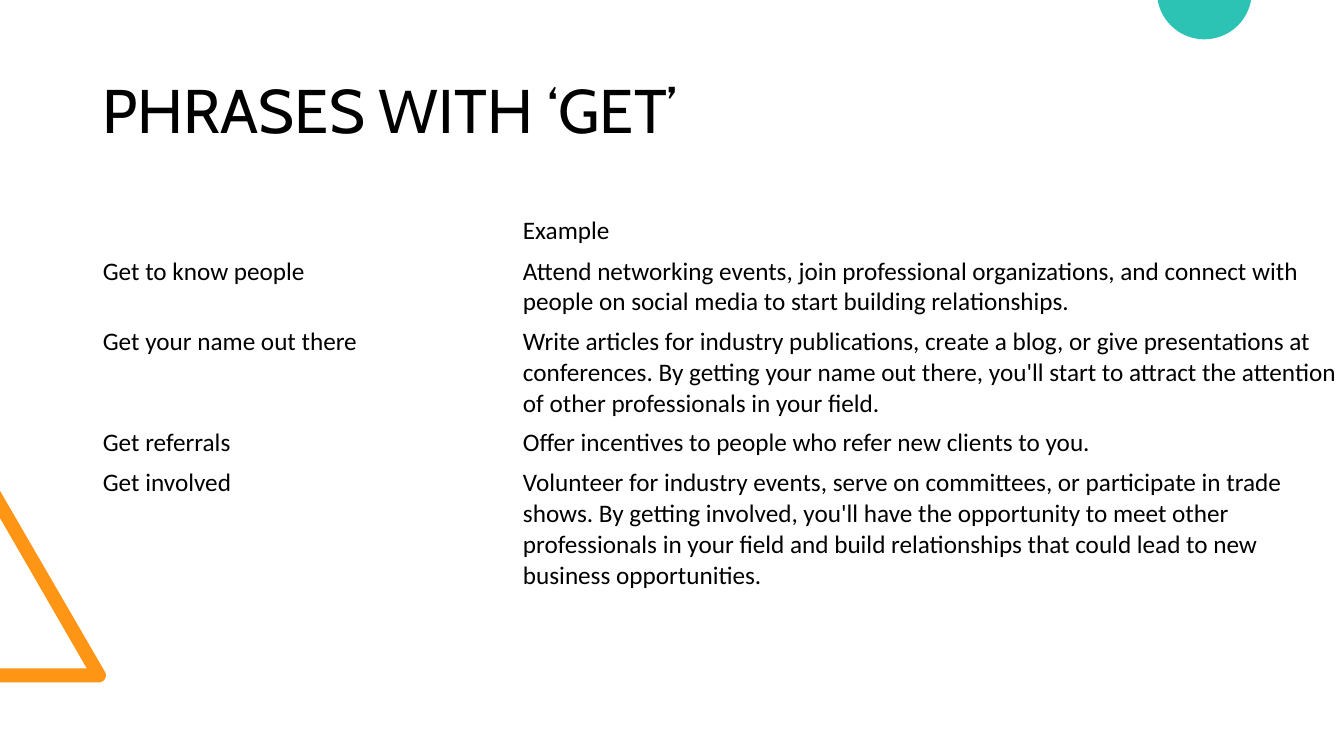
from dataclasses import dataclass
from math import cos, radians, sin

from pptx import Presentation
from pptx.dml.color import RGBColor
from pptx.enum.text import MSO_ANCHOR
from pptx.util import Inches, Pt


@dataclass(frozen=True)
class Theme:
    text: RGBColor = RGBColor(0x00, 0x00, 0x00)
    orange: RGBColor = RGBColor(0xFF, 0x95, 0x14)
    teal: RGBColor = RGBColor(0x2C, 0xC3, 0xB4)
    title_font: str = "Cabin"
    body_font: str = "Calibri"
    title_size: Pt = Pt(44)
    body_size: Pt = Pt(18)


THEME = Theme()

PHRASES = [
    ("", "Example"),
    ("Get to know people",
     "Attend networking events, join professional organizations, and connect "
     "with people on social media to start building relationships."),
    ("Get your name out there",
     "Write articles for industry publications, create a blog, or give "
     "presentations at conferences. By getting your name out there, you'll "
     "start to attract the attention of other professionals in your field."),
    ("Get referrals",
     "Offer incentives to people who refer new clients to you."),
    ("Get involved",
     "Volunteer for industry events, serve on committees, or participate in "
     "trade shows. By getting involved, you'll have the opportunity to meet "
     "other professionals in your field and build relationships that could "
     "lead to new business opportunities."),
]


def add_run(p, text, font, size):
    r = p.add_run()
    r.text = text
    r.font.name = font
    r.font.size = size
    r.font.color.rgb = THEME.text


def arc(cx, cy, radius, start, end, steps):
    angles = [radians(start + (end - start) * i / steps) for i in range(steps + 1)]
    return [(cx + radius * cos(a), cy + radius * sin(a)) for a in angles]


def add_outline(slide, points, color):
    pts = [(Inches(x), Inches(y)) for x, y in points]
    builder = slide.shapes.build_freeform(*pts[0])
    builder.add_line_segments(pts[1:], close=True)
    sp = builder.convert_to_shape()
    sp.shadow.inherit = False
    sp.fill.solid()
    sp.fill.fore_color.rgb = color
    sp.line.fill.background()


def add_triangle(slide, x, y, w, h):
    radius = 0.07
    bottom = y + h
    corner = arc(x + w - radius, bottom - radius, radius, -30, 90, 12)
    inner = [(x, bottom - 0.14), (x + 0.86, bottom - 0.14), (x, y + 0.27)]
    add_outline(slide, inner + [(x, y)] + corner + [(x, bottom)], THEME.orange)


def add_circle(slide, x, y, w):
    radius = 0.47
    add_outline(slide, arc(x + w / 2, y - 0.08, radius, 9.8, 170.2, 48), THEME.teal)


def add_title(slide, x, y, w, h):
    tf = slide.shapes.add_textbox(Inches(x), Inches(y), Inches(w), Inches(h)).text_frame
    tf.word_wrap = True
    tf.vertical_anchor = MSO_ANCHOR.MIDDLE
    p = tf.paragraphs[0]
    p.line_spacing = 0.9
    add_run(p, "PHRASES WITH ‘GET’", THEME.title_font, THEME.title_size)


def add_phrases(slide, x, y, w, row_h):
    table = slide.shapes.add_table(
        len(PHRASES), 2, Inches(x), Inches(y), Inches(w), Inches(row_h * len(PHRASES))
    ).table
    table.first_row = False
    table.horz_banding = False
    table.columns[0].width = Inches(w / 3)
    table.columns[1].width = Inches(w * 2 / 3)
    for row, texts in zip(table.rows, PHRASES):
        for cell, text in zip(row.cells, texts):
            cell.fill.background()
            p = cell.text_frame.paragraphs[0]
            if text:
                add_run(p, text, THEME.body_font, THEME.body_size)
            else:
                p.font.size = THEME.body_size


def build_phrases_slide(prs):
    slide = prs.slides.add_slide(prs.slide_layouts[6])
    add_triangle(slide, 0, 4.87, 1.05, 1.9)
    add_circle(slide, 11.48, 0, 0.93)
    add_title(slide, 0.92, 0.4, 11.5, 1.45)
    add_phrases(slide, 0.92, 2.09, 12.5, 0.28)


def main():
    prs = Presentation()
    prs.slide_width = Inches(13.33)
    prs.slide_height = Inches(7.5)
    build_phrases_slide(prs)
    prs.save("out.pptx")


if __name__ == "__main__":
    main()
